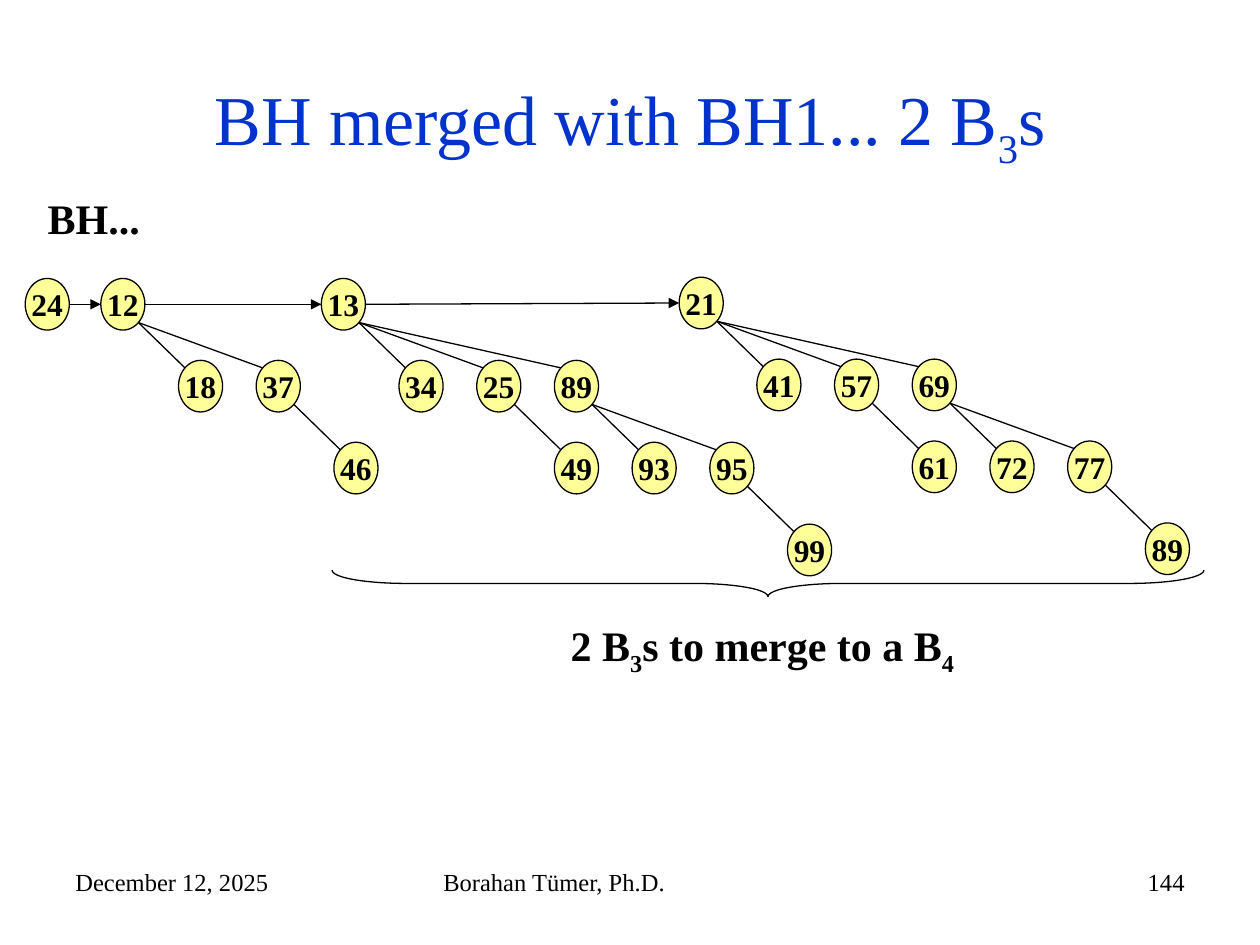
from itertools import pairwise
from math import sqrt

from lxml import etree
from pptx import Presentation
from pptx.dml.color import RGBColor
from pptx.enum.shapes import MSO_CONNECTOR, MSO_SHAPE
from pptx.enum.text import MSO_ANCHOR, PP_ALIGN
from pptx.oxml.ns import qn
from pptx.util import Inches, Pt

STRAIGHT = MSO_CONNECTOR.STRAIGHT
OVAL, BRACE = MSO_SHAPE.OVAL, MSO_SHAPE.LEFT_BRACE
MIDDLE = MSO_ANCHOR.MIDDLE
LEFT, CENTER, RIGHT = PP_ALIGN.LEFT, PP_ALIGN.CENTER, PP_ALIGN.RIGHT

FONT = "Times New Roman"
COLORS = {"title": "0033CC", "text": "000000", "line": "000000", "node": "FFFF99"}

# Text pieces alternate between normal and subscript.
TITLE = ["BH merged with BH1... 2 B", "3", "s"]
# Pieces, box (left, top, width, height), size, bold, alignment
LABELS = [
    (["BH..."], (0.28, 1.48, 1.05, 0.5), 24, True, LEFT),
    (["2 B", "3", "s to merge to a B", "4"], (4.43, 4.87, 3.44, 0.5), 24, True, LEFT),
    (["December 12, 2025"], (0.5, 6.83, 2.33, 0.52), 14, False, LEFT),
    (["Borahan Tümer, Ph.D."], (3.42, 6.83, 3.17, 0.52), 14, False, LEFT),
    (["144"], (7.17, 6.83, 2.33, 0.52), 14, False, RIGHT),
]
# Each tree is (key, children); each root has a left and top.
HEAP = [
    ((0.2, 2.21), (24, [])),
    ((0.8, 2.21), (12, [(18, []), (37, [(46, [])])])),
    ((2.55, 2.21), (13, [(34, []), (25, [(49, [])]),
                         (89, [(93, []), (95, [(99, [])])])])),
    ((5.39, 2.2), (21, [(41, []), (57, [(61, [])]),
                        (69, [(72, []), (77, [(89, [])])])])),
]
NODE_W, NODE_H = 0.35, 0.41
COLUMN_STEP, ROW_STEP = 3.7 / 6, 0.65
DIAGONAL = sqrt(0.5) / 2  # distance from centre to a 45-degree point, per unit of size


def rgb(role):
    return RGBColor.from_string(COLORS[role])


def write(frame, pieces, size, bold=False, align=LEFT, role="text"):
    paragraph = frame.paragraphs[0]
    paragraph.alignment = align
    for index, piece in enumerate(pieces):
        run = paragraph.add_run()
        run.text = piece
        if index % 2:
            run._r.get_or_add_rPr().set("baseline", "-25000")
    font = paragraph.font
    font.name, font.size, font.bold = FONT, Pt(size), bold
    font.color.rgb = rgb(role)


def outline(shape):
    shape.line.color.rgb = rgb("line")
    shape.line.width = Pt(0.75)


def add_link(slide, start, end, arrow=False):
    link = slide.shapes.add_connector(STRAIGHT, *map(Inches, (*start, *end)))
    outline(link)
    if arrow:
        etree.SubElement(link.line._get_or_add_ln(), qn("a:tailEnd"), type="triangle")
    etree.SubElement(link._element.spPr, qn("a:effectLst"))


def add_node(slide, key, left, top):
    node = slide.shapes.add_shape(OVAL, *map(Inches, (left, top, NODE_W, NODE_H)))
    node.shadow.inherit = False
    node.fill.solid()
    node.fill.fore_color.rgb = rgb("node")
    outline(node)
    frame = node.text_frame
    frame.word_wrap = False
    frame.vertical_anchor = MIDDLE
    frame.margin_left = frame.margin_right = frame.margin_top = frame.margin_bottom = 0
    write(frame, [str(key)], 18, True, CENTER)


def add_tree(slide, tree, left, top):
    """Draw a binomial tree: children fill the next row, one column further each."""
    key, children = tree
    add_node(slide, key, left, top)
    for order, child in enumerate(children, 1):
        child_left, child_top = left + order * COLUMN_STEP, top + ROW_STEP
        add_link(slide,
                 (left + NODE_W * (0.5 + DIAGONAL), top + NODE_H * (0.5 + DIAGONAL)),
                 (child_left + NODE_W * (0.5 - DIAGONAL),
                  child_top + NODE_H * (0.5 - DIAGONAL)))
        add_tree(slide, child, child_left, child_top)


def main():
    deck = Presentation()
    deck.slide_width, deck.slide_height = Inches(10), Inches(7.5)
    slide = deck.slides.add_slide(deck.slide_layouts[5])

    title = slide.shapes.title
    title.left, title.top, title.width, title.height = map(Inches, (0.5, 0.3, 9, 1.36))
    title.text_frame.vertical_anchor = MIDDLE
    write(title.text_frame, TITLE, 40, align=CENTER, role="title")

    for pieces, box, size, bold, align in LABELS:
        frame = slide.shapes.add_textbox(*map(Inches, box)).text_frame
        frame.word_wrap = True
        write(frame, pieces, size, bold, align)

    for (left, top), tree in HEAP:
        add_tree(slide, tree, left, top)
    for ((left, top), _), ((next_left, next_top), _) in pairwise(HEAP):
        add_link(slide, (left + NODE_W, top + NODE_H / 2),
                 (next_left, next_top + NODE_H / 2), arrow=True)

    brace = slide.shapes.add_shape(BRACE, *map(Inches, (5.99, 1.17, 0.21, 6.92)))
    brace.rotation = 270
    brace.adjustments[0], brace.adjustments[1] = 2.79, 0.5
    brace.shadow.inherit = False
    brace.fill.background()
    outline(brace)

    deck.save("out.pptx")


if __name__ == "__main__":
    main()
